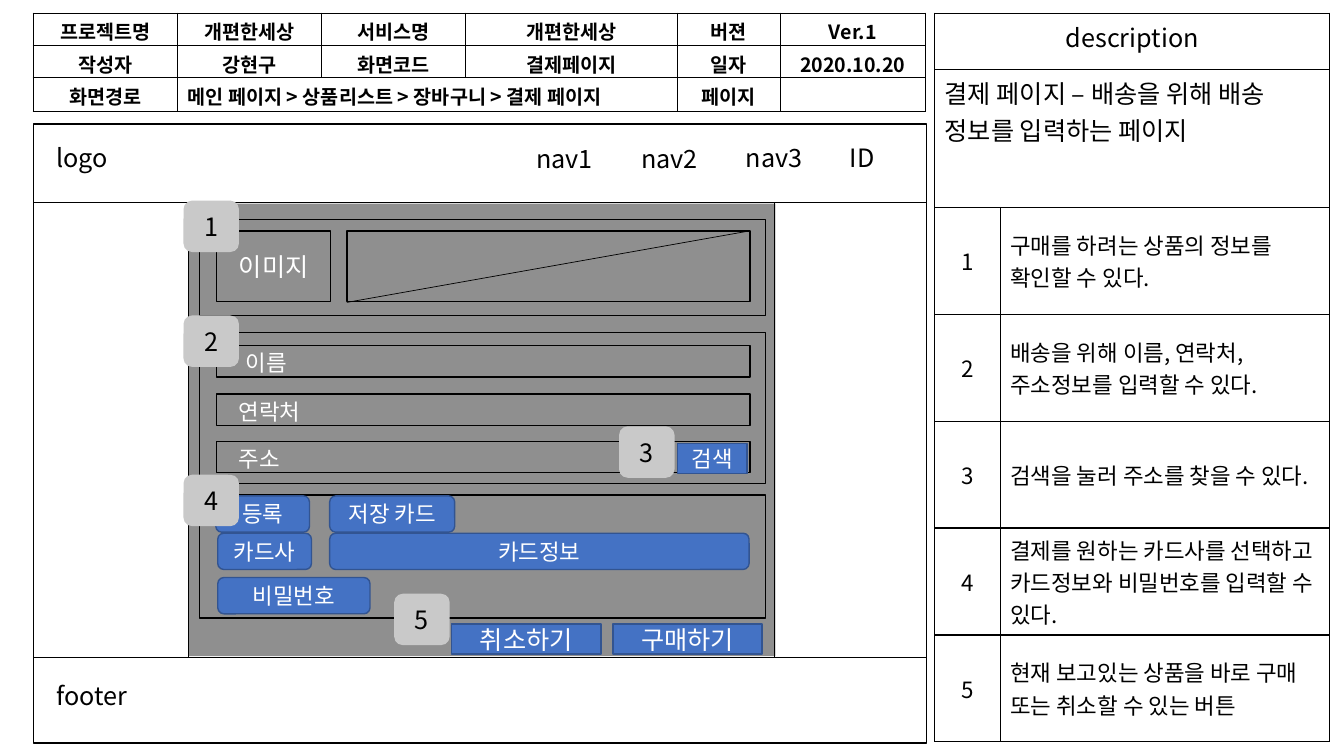
from lxml import etree
from pptx import Presentation
from pptx.dml.color import RGBColor
from pptx.enum.shapes import MSO_CONNECTOR, MSO_SHAPE
from pptx.enum.text import MSO_ANCHOR, PP_ALIGN
from pptx.oxml.ns import qn
from pptx.util import Inches, Pt

RECTANGLE = MSO_SHAPE.RECTANGLE
ROUNDED = MSO_SHAPE.ROUNDED_RECTANGLE
STRAIGHT = MSO_CONNECTOR.STRAIGHT
LEFT, CENTER = PP_ALIGN.LEFT, PP_ALIGN.CENTER
TOP, MIDDLE = MSO_ANCHOR.TOP, MSO_ANCHOR.MIDDLE

FONT = "Noto Sans CJK KR"
BLACK = RGBColor(0x00, 0x00, 0x00)
WHITE = RGBColor(0xFF, 0xFF, 0xFF)
BLUE = RGBColor(0x44, 0x72, 0xC4)
NAVY = RGBColor(0x32, 0x54, 0x91)
SILVER = RGBColor(0xC9, 0xC9, 0xC9)

HEADER = [
    ["프로젝트명", "개편한세상", "서비스명", "개편한세상", "버젼", "Ver.1"],
    ["작성자", "강현구", "화면코드", "결제페이지", "일자", "2020.10.20"],
    ["화면경로", "메인 페이지 > 상품리스트 > 장바구니 > 결제 페이지", None, None, "페이지", ""],
]
HEADER_COLUMNS = [1.43, 1.43, 1.43, 2.1, 1.02, 1.44]
HEADER_ROWS = [0.32] * 3

SUMMARY = ["description", "결제 페이지 – 배송을 위해 배송 정보를 입력하는 페이지"]
NOTES = [
    "구매를 하려는 상품의 정보를 확인할 수 있다.",
    "배송을 위해 이름, 연락처, 주소정보를 입력할 수 있다.",
    "검색을 눌러 주소를 찾을 수 있다.",
    "결제를 원하는 카드사를 선택하고 카드정보와 비밀번호를 입력할 수 있다.",
    "현재 보고있는 상품을 바로 구매 또는 취소할 수 있는 버튼",
]
NOTE_COLUMNS = [0.65, 3.27]
NOTE_ROWS = [0.56, 1.37] + [1.06] * len(NOTES)

PAGE_FRAME = (0.33, 1.23, 8.86, 6.14)
CONTENT_AREA = (1.87, 2.02, 5.82, 4.49)
DIVIDERS = [
    (0.33, 2.01, 9.19, 2.01),
    (0.33, 6.52, 9.19, 6.52),
    (1.87, 2.01, 1.87, 6.52),
    (7.68, 2.01, 7.68, 6.52),
    (7.44, 2.29, 3.44, 3),
]
SECTIONS = [(2.18, 0.95), (3.3, 1.5), (4.91, 1.22)]
FIELD_TOPS = [3.43, 3.91, 4.38]
IMAGE_BOX = (2.15, 2.29, 1.13, 0.7)
PRODUCT_BOX = (3.44, 2.29, 4, 0.7)

LABELS = [
    ("logo", 0.46, 1.36, 0.81, 18, BLACK),
    ("nav1", 5.22, 1.37, 0.82, 18, BLACK),
    ("nav2", 6.26, 1.37, 0.82, 18, BLACK),
    ("nav3", 7.3, 1.36, 0.82, 18, BLACK),
    ("ID", 8.33, 1.36, 0.82, 18, BLACK),
    ("footer", 0.46, 6.7, 1.87, 18, BLACK),
    ("이름", 2.34, 3.41, 0.73, 16, WHITE),
    ("연락처", 2.27, 3.9, 0.88, 16, WHITE),
    ("주소", 2.27, 4.37, 0.88, 16, WHITE),
]
CARD_BUTTONS = [
    ("등록", 2.14, 4.92, 0.93),
    ("저장 카드", 3.27, 4.92, 1.24),
    ("카드사", 2.16, 5.29, 0.93),
    ("카드정보", 3.27, 5.29, 4.16),
    ("비밀번호", 2.16, 5.73, 1.51),
]
ACTION_BUTTONS = [
    ("검색", 6.72, 4.4, 0.69, 16),
    ("취소하기", 4.48, 6.19, 1.48, 18),
    ("구매하기", 6.08, 6.19, 1.48, 18),
]
BADGES = [(1.82, 1.99), (1.82, 3.13), (6.14, 4.23), (1.82, 4.71), (3.91, 5.89)]


def write(frame, text, size=18, color=BLACK, bold=False, align=LEFT):
    frame.word_wrap = True
    para = frame.paragraphs[0]
    para.alignment = align
    span = para.add_run()
    span.text = text
    span.font.size = Pt(size)
    span.font.bold = bold
    span.font.name = FONT
    span.font.color.rgb = color
    etree.SubElement(span.font._element, qn("a:ea"), typeface=FONT)


def add_box(page, kind, place, fill=None, line=None, text=None, **style):
    box = page.shapes.add_shape(kind, *map(Inches, place))
    box.shadow.inherit = False
    if fill is None:
        box.fill.background()
    else:
        box.fill.solid()
        box.fill.fore_color.rgb = fill
    if line is None:
        box.line.fill.background()
    else:
        box.line.color.rgb = line
        box.line.width = Pt(1)
    if text:
        box.text_frame.vertical_anchor = MIDDLE
        write(box.text_frame, text, align=CENTER, **style)
    return box


def add_line(page, ends):
    line = page.shapes.add_connector(STRAIGHT, *map(Inches, ends))
    line.line.color.rgb = BLACK
    line.line.width = Pt(0.5)
    etree.SubElement(line._element.spPr, qn("a:effectLst"))


def add_label(page, text, left, top, width, size, color):
    label = page.shapes.add_textbox(*map(Inches, (left, top, width, 0.5)))
    write(label.text_frame, text, size=size, color=color)


def add_grid(page, left, top, columns, rows):
    place = (left, top, sum(columns), sum(rows))
    table = page.shapes.add_table(len(rows), len(columns), *map(Inches, place)).table
    table.first_row = table.horz_banding = False
    for column, width in zip(table.columns, columns):
        column.width = Inches(width)
    for row, height in zip(table.rows, rows):
        row.height = Inches(height)
    for cell in table.iter_cells():
        properties = cell._tc.get_or_add_tcPr()
        for side in ("a:lnL", "a:lnR", "a:lnT", "a:lnB"):
            border = etree.SubElement(properties, qn(side), w=str(Pt(1)))
            paint = etree.SubElement(border, qn("a:solidFill"))
            etree.SubElement(paint, qn("a:srgbClr"), val=str(BLACK))
        cell.fill.background()
    return table


def add_header(page):
    table = add_grid(page, 0.33, 0.13, HEADER_COLUMNS, HEADER_ROWS)
    table.cell(2, 1).merge(table.cell(2, 3))
    for row, texts in enumerate(HEADER):
        for column, text in enumerate(texts):
            if text is None:
                continue
            cell = table.cell(row, column)
            cell.margin_top, cell.margin_bottom = Inches(0.04), 0
            align = LEFT if cell.is_merge_origin else CENTER
            write(cell.text_frame, text, size=14, bold=True, align=align)


def add_description(page):
    table = add_grid(page, 9.27, 0.13, NOTE_COLUMNS, NOTE_ROWS)
    for row, (text, align) in enumerate(zip(SUMMARY, (CENTER, LEFT))):
        table.cell(row, 0).merge(table.cell(row, 1))
        write(table.cell(row, 0).text_frame, text, align=align)
    for number, note in enumerate(NOTES, 1):
        row = number + len(SUMMARY) - 1
        for column, (text, align) in enumerate([(str(number), CENTER), (note, LEFT)]):
            cell = table.cell(row, column)
            cell.vertical_anchor = MIDDLE
            write(cell.text_frame, text, size=16, align=align)


def add_wireframe(page):
    area = add_box(page, RECTANGLE, CONTENT_AREA, fill=BLACK)
    tint = area.fill._xPr.find(qn("a:solidFill"))[0]
    etree.SubElement(tint, qn("a:alpha"), val="44000")
    add_box(page, RECTANGLE, PAGE_FRAME, line=BLACK)
    for top, height in SECTIONS:
        add_box(page, RECTANGLE, (1.98, top, 5.61, height), line=BLACK)
    for top in FIELD_TOPS:
        add_box(page, RECTANGLE, (2.15, top, 5.29, 0.31), line=BLACK)
    add_box(page, RECTANGLE, IMAGE_BOX, line=BLACK, text="이미지", color=WHITE)
    add_box(page, RECTANGLE, PRODUCT_BOX, line=BLACK)
    for ends in DIVIDERS:
        add_line(page, ends)
    for text, left, top, width in CARD_BUTTONS:
        add_box(page, ROUNDED, (left, top, width, 0.36), BLUE, NAVY, text, size=16, color=WHITE)
    for text, left, top, width, size in ACTION_BUTTONS:
        add_box(page, RECTANGLE, (left, top, width, 0.3), BLUE, NAVY, text, size=size, color=WHITE)
    for number, (left, top) in enumerate(BADGES, 1):
        add_box(page, ROUNDED, (left, top, 0.55, 0.51), SILVER, text=str(number))
    for label in LABELS:
        add_label(page, *label)


def main():
    deck = Presentation()
    deck.slide_width, deck.slide_height = Inches(13.33), Inches(7.5)
    page = deck.slides.add_slide(deck.slide_layouts[6])
    add_wireframe(page)
    add_header(page)
    add_description(page)
    deck.save("out.pptx")


if __name__ == "__main__":
    main()
